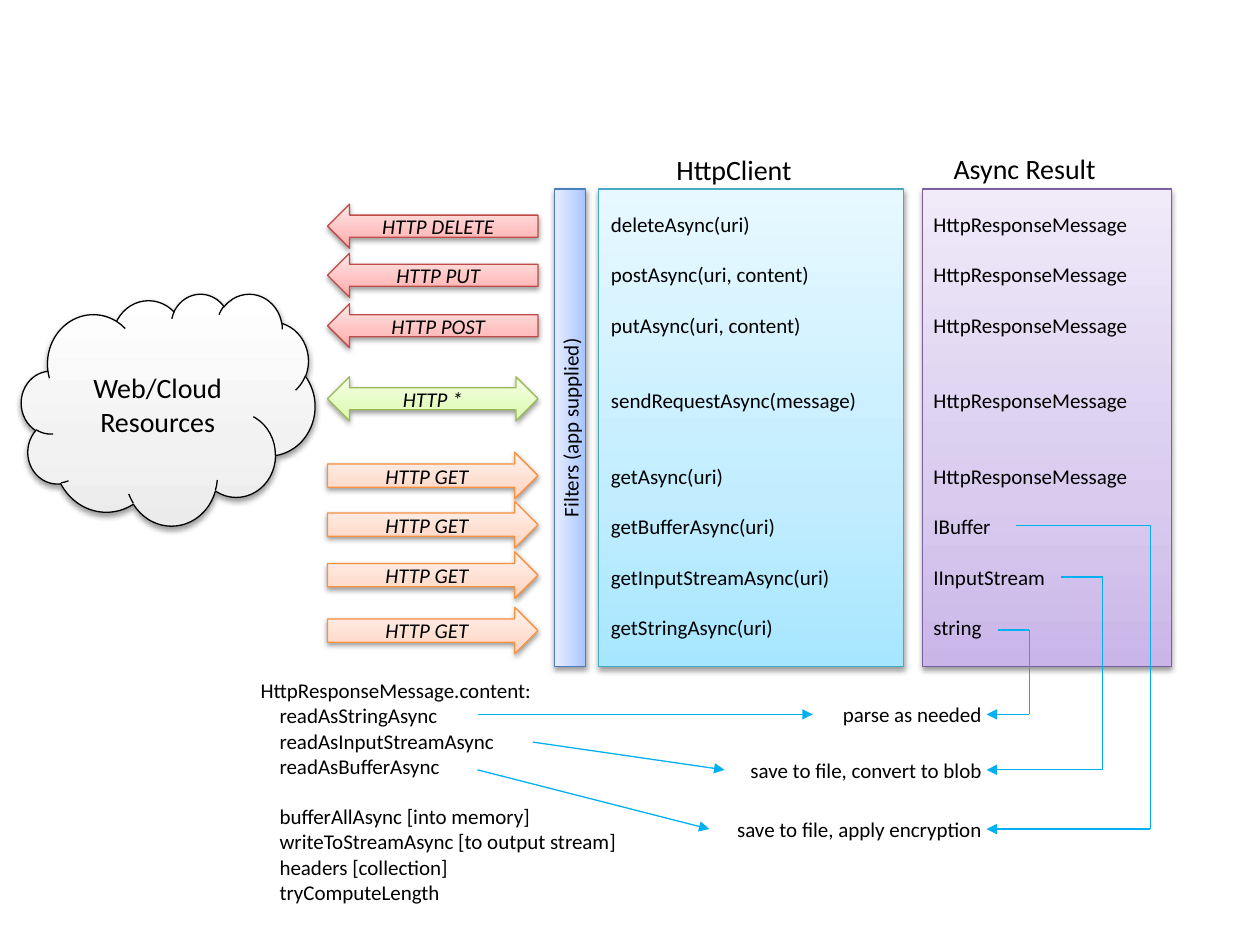
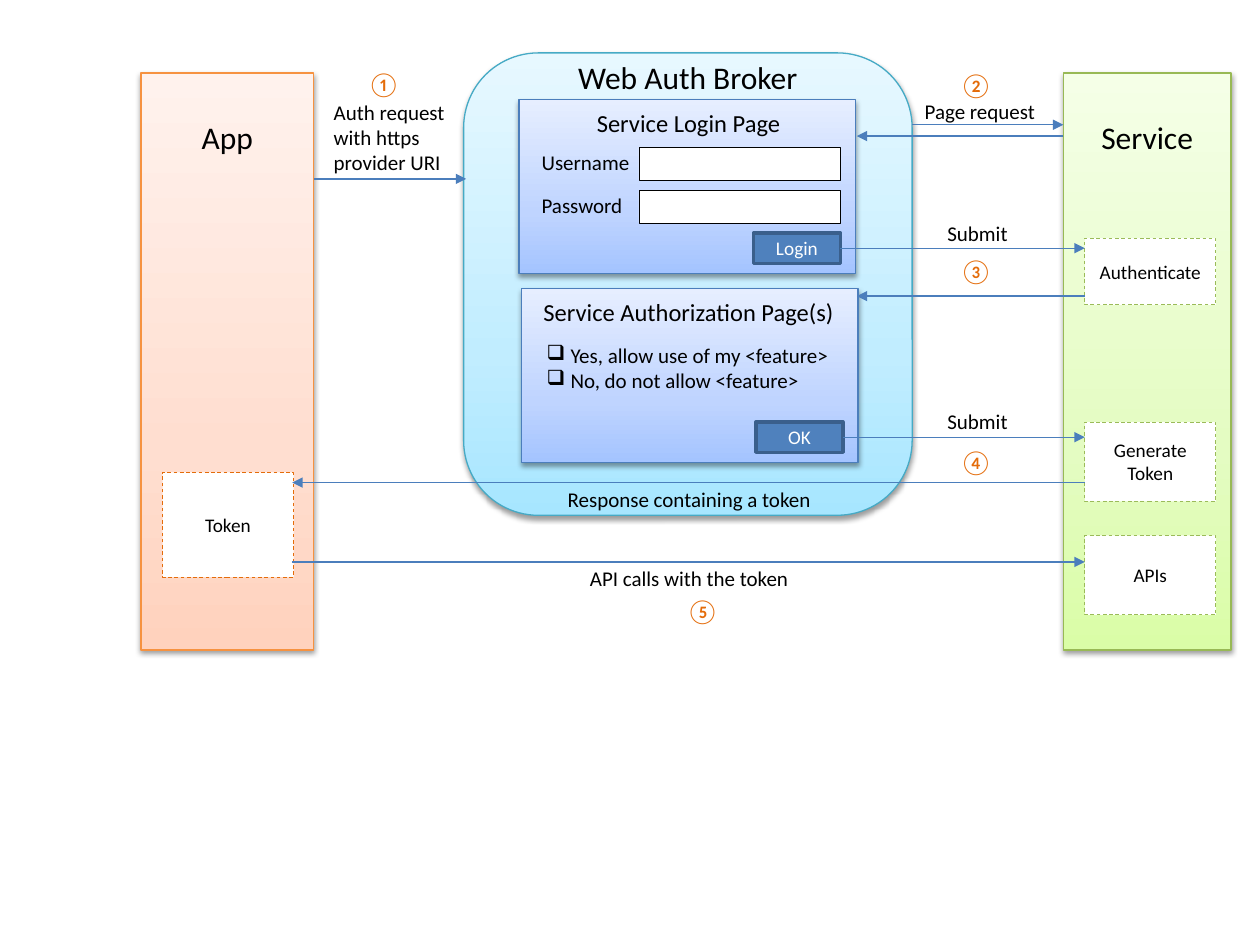
"""Builds two diagram slides: HTTP client calls and web authentication flow."""
from itertools import pairwise

from lxml.etree import SubElement
from pptx import Presentation
from pptx.dml.color import RGBColor
from pptx.enum.dml import MSO_LINE
from pptx.enum.shapes import MSO_CONNECTOR, MSO_SHAPE as SHAPE
from pptx.enum.text import MSO_ANCHOR as ANCHOR, PP_ALIGN as ALIGN
from pptx.oxml.ns import qn
from pptx.util import Inches, Pt

FONT = "Calibri"
BLACK, WHITE = "000000", "FFFFFF"
SKY, BLUE, ORANGE, GREEN = "00B0F0", "4B7EBC", "E46C0A", "9BBB59"
LINE_HEIGHT = 14.4
STOPS = (0, 35, 100)

PURPLE_STYLE = {"fill": ("C9B5E8", "D8CBEE", "F0EAF9"), "line": "7D60A0"}
GRAY_STYLE = {"fill": ("EBEBEB", "F2F2F2", "FFFFFF"), "line": BLACK}
CYAN_STYLE = {"fill": ("A7E6FF", "C1EDFF", "E7F8FF"), "line": "46AAC5"}
RED_STYLE = {"fill": ("FFA6A5", "FFC0BF", "FFE7E7"), "line": "BF4C48"}
PEACH_STYLE = {"fill": ("FFD2BD", "FFDED0", "FFF2ED"), "line": "F69240"}
LIME_STYLE = {"fill": ("DAFDA7", "E4FCC2", "F5FFE7"), "line": "98B955"}
BLUE_STYLE = {"fill": ("A4C4FF", "BFD4FF", "E6EEFF"), "line": BLUE}
BUTTON_STYLE = {"fill": "4F81BD", "line": "3A5F8C", "line_width": 2, "size": 11, "color": WHITE}


def add_box(page, text, left, top, width, height, *, shape=None, fill=None, line=None,
            line_width=0.75, dash=False, size=12, color=BLACK, italic=False, align=None,
            anchor=None, wrap=True, gaps=(), indents=(), bullet=None, top_inset=0.05):
    """Adds a text box, or a preset shape with a solid or gradient fill."""
    place = [Inches(length) for length in (left, top, width, height)]
    if shape is None:
        box = page.shapes.add_textbox(*place)
    else:
        box = page.shapes.add_shape(shape, *place)
        box.shadow.inherit = False
        properties = box._element.spPr
        if isinstance(fill, tuple):
            box.fill.gradient()
            box.fill.gradient_angle = 90
            stops = properties.find(qn("a:gradFill")).find(qn("a:gsLst"))
            stops.clear()
            for position, shade in zip(STOPS, fill):
                stop = SubElement(stops, qn("a:gs"), pos=str(position * 1000))
                SubElement(stop, qn("a:srgbClr"), val=shade)
            shadow = SubElement(properties.find(qn("a:effectLst")), qn("a:outerShdw"),
                                blurRad="40000", dist="20000", dir="5400000", rotWithShape="0")
            tone = SubElement(shadow, qn("a:srgbClr"), val=BLACK)
            SubElement(tone, qn("a:alpha"), val="38000")
        else:
            box.fill.solid()
            box.fill.fore_color.rgb = RGBColor.from_string(fill)
        box.line.color.rgb = RGBColor.from_string(line)
        box.line.width = Pt(line_width)
        if dash:
            box.line.dash_style = MSO_LINE.DASH
    frame = box.text_frame
    frame.word_wrap = wrap
    frame.margin_top = Inches(top_inset)
    frame.vertical_anchor = anchor or (ANCHOR.MIDDLE if shape else ANCHOR.TOP)
    for index, words in enumerate(text.split("\n") if text else []):
        para = frame.add_paragraph() if index else frame.paragraphs[0]
        para.alignment = align or (ALIGN.CENTER if shape else ALIGN.LEFT)
        if gaps:
            para.space_before = Pt(gaps[index] * LINE_HEIGHT)
        layout = para._p.get_or_add_pPr()
        if indents:
            layout.set("marL", str(Inches(indents[index])))
        if bullet:
            layout.set("indent", str(-Inches(indents[index])))
            SubElement(layout, qn("a:buChar"), char=bullet)
        span = para.add_run()
        span.text = words
        span.font.name = FONT
        span.font.size = Pt(size)
        span.font.italic = italic
        span.font.color.rgb = RGBColor.from_string(color)
    return box


def add_line(page, start, end, color, arrow=True, source=None):
    """Adds a straight line, joined to the right side of a source box if one is given."""
    connector = page.shapes.add_connector(
        MSO_CONNECTOR.STRAIGHT, *[Inches(length) for length in (*start, *end)])
    if source:
        connector.begin_connect(source, 3)
    connector.line.color.rgb = RGBColor.from_string(color)
    connector.line.width = Pt(0.75)
    properties = connector._element.spPr
    if arrow:
        SubElement(properties.find(qn("a:ln")), qn("a:tailEnd"), type="triangle")
    SubElement(properties, qn("a:effectLst"))


deck = Presentation()
deck.slide_width, deck.slide_height = Inches(10), Inches(7.5)
blank = deck.slide_layouts[6]

page = deck.slides.add_slide(blank)
add_box(page, "", 7.32, 1.5, 1.98, 3.79, shape=SHAPE.RECTANGLE, **PURPLE_STYLE)
add_box(page, "", 4.75, 1.5, 2.42, 3.79, shape=SHAPE.RECTANGLE, **CYAN_STYLE)
add_box(page, "Web/Cloud Resources", 0.17, 2.33, 2.33, 1.84, shape=SHAPE.CLOUD, size=16, **GRAY_STYLE)
add_box(page, "HttpClient", 5.27, 1.16, 1.19, 0.37, size=16, wrap=False)
add_box(page, "Async Result", 7.47, 1.15, 1.51, 0.37, size=16, wrap=False)

requests = [
    (SHAPE.LEFT_ARROW, RED_STYLE, 0.35, [("HTTP DELETE", 1.62), ("HTTP PUT", 2.01), ("HTTP POST", 2.41)]),
    (SHAPE.LEFT_RIGHT_ARROW, LIME_STYLE, 0.35, [("HTTP *", 2.99)]),
    (SHAPE.RIGHT_ARROW, PEACH_STYLE, 0.37, [("HTTP GET", top) for top in (3.59, 3.98, 4.38, 4.82)]),
]
for arrow_shape, style, height, verbs in requests:
    for verb, top in verbs:
        add_box(page, verb, 2.6, top, 1.67, height, shape=arrow_shape, italic=True, **style)

calls = [
    ("deleteAsync(uri)", "HttpResponseMessage", 0),
    ("postAsync(uri, content)", "HttpResponseMessage", 1),
    ("putAsync(uri, content)", "HttpResponseMessage", 1),
    ("sendRequestAsync(message)", "HttpResponseMessage", 2),
    ("getAsync(uri)", "HttpResponseMessage", 2),
    ("getBufferAsync(uri)", "IBuffer", 1),
    ("getInputStreamAsync(uri)", "IInputStream", 1),
    ("getStringAsync(uri)", "string", 1),
]
methods, results, call_gaps = zip(*calls)
add_box(page, "\n".join(methods), 4.75, 1.63, 2.42, 3.53, gaps=call_gaps)
add_box(page, "\n".join(results), 7.31, 1.63, 1.99, 3.53, gaps=call_gaps)

for start_x, turn_x, result_y, use_y in [
        (7.92, 8.17, 5, 5.67), (8.42, 8.75, 4.58, 6.11), (8.06, 9.13, 4.17, 6.58)]:
    route = [(start_x, result_y), (turn_x, result_y), (turn_x, use_y), (7.83, use_y)]
    for start, end in pairwise(route):
        add_line(page, start, end, SKY, arrow=end == route[-1])

for use, top in [("parse as needed", 5.52), ("save to file, convert to blob", 5.96),
                 ("save to file, apply encryption", 6.43)]:
    add_box(page, use, 4.75, top, 3.14, 0.3, align=ALIGN.RIGHT)

content_members = [
    "HttpResponseMessage.content:", "readAsStringAsync", "readAsInputStreamAsync",
    "readAsBufferAsync", "bufferAllAsync [into memory]",
    "writeToStreamAsync [to output stream]", "headers [collection]", "tryComputeLength",
]
add_box(page, "\n".join(content_members), 1.97, 5.33, 3.28, 1.92, wrap=False,
        gaps=(0, 0, 0, 0, 1, 0, 0, 0), indents=(0, *[0.15] * 7))
for start, end in [((3.79, 5.67), (6.45, 5.67)), ((4.23, 5.89), (5.75, 6.11)),
                   ((3.79, 6.11), (5.63, 6.58))]:
    add_line(page, start, end, SKY)
filters = add_box(page, "Filters (app supplied)", 2.63, 3.27, 3.79, 0.25,
                  shape=SHAPE.RECTANGLE, **BLUE_STYLE)
filters.rotation = 270

page = deck.slides.add_slide(blank)
for party, left, width, style in [("App", 1.12, 1.37, PEACH_STYLE), ("Service", 8.44, 1.33, LIME_STYLE)]:
    add_box(page, party, left, 0.58, width, 4.58, shape=SHAPE.RECTANGLE, size=18,
            anchor=ANCHOR.TOP, top_inset=0.36, **style)
add_box(page, "", 3.68, 0.42, 3.56, 3.67, shape=SHAPE.ROUNDED_RECTANGLE, **CYAN_STYLE)
add_box(page, "Web Auth Broker", 3.68, 0.41, 3.56, 0.4, size=18, align=ALIGN.CENTER)

buttons = []
for title, left, top, caption in [("Service Login Page", 4.12, 0.79, "Login"),
                                  ("Service Authorization Page(s)", 4.14, 2.29, "OK")]:
    add_box(page, "", left, top, 2.67, 1.38, shape=SHAPE.RECTANGLE, **BLUE_STYLE)
    add_box(page, title, 4.14, top + 0.02, 2.65, 0.34, size=14, align=ALIGN.CENTER)
    buttons.append(add_box(page, caption, left + 1.86, top + 1.06, 0.69, 0.24,
                           shape=SHAPE.RECTANGLE, **BUTTON_STYLE))
for field, top in [("Username", 1.14), ("Password", 1.48)]:
    add_box(page, field, 4.2, top, 0.91, 0.3, wrap=False, align=ALIGN.LEFT)
    add_box(page, "", 5.07, top + 0.03, 1.6, 0.26, shape=SHAPE.RECTANGLE,
            fill=WHITE, line=BLACK, line_width=0.25)
add_box(page, "Yes, allow use of my <feature>\nNo, do not allow <feature>", 4.24, 2.67, 2.46, 0.5,
        wrap=False, indents=(0.19, 0.19), bullet="❑")

for step, left, top, width, height, edge in [
        ("Authenticate", 8.61, 1.89, 1.04, 0.53, GREEN),
        ("Generate\nToken", 8.61, 3.35, 1.04, 0.63, GREEN),
        ("APIs", 8.61, 4.25, 1.04, 0.63, GREEN),
        ("Token", 1.29, 3.75, 1.04, 0.83, ORANGE)]:
    add_box(page, step, left, top, width, height, shape=SHAPE.RECTANGLE, fill=WHITE,
            line=edge, line_width=0.5, dash=True, size=11)

for start_x, end_x, y in [(2.49, 3.7, 1.42), (7.24, 8.44, 0.99), (8.44, 6.8, 1.08),
                          (8.61, 6.8, 2.35), (8.61, 2.32, 3.83), (2.32, 8.61, 4.46)]:
    add_line(page, (start_x, y), (end_x, y), BLUE)
for button, y in zip(buttons, (1.97, 3.47)):
    add_line(page, (6.67, y), (8.61, y), BLUE, source=button)

for message, left, top, width, height in [
        ("Auth request\nwith https\nprovider URI", 2.55, 0.74, 1.09, 0.71),
        ("Page request", 7.24, 0.73, 1.09, 0.3),
        ("Submit", 7.42, 1.7, 0.68, 0.3),
        ("Submit", 7.42, 3.19, 0.68, 0.3)]:
    add_box(page, message, left, top, width, height, wrap=False)
for message, top in [("Response containing a token", 3.81), ("API calls with the token", 4.44)]:
    add_box(page, message, 3.7, top, 3.54, 0.3, align=ALIGN.CENTER)
for number, left, top in [("①", 2.82, 0.5), ("②", 7.52, 0.51), ("③", 7.52, 1.98),
                          ("④", 7.52, 3.5), ("⑤", 5.35, 4.68)]:
    add_box(page, number, left, top, 0.46, 0.34, size=14, color=ORANGE, wrap=False)

deck.save("out.pptx")
